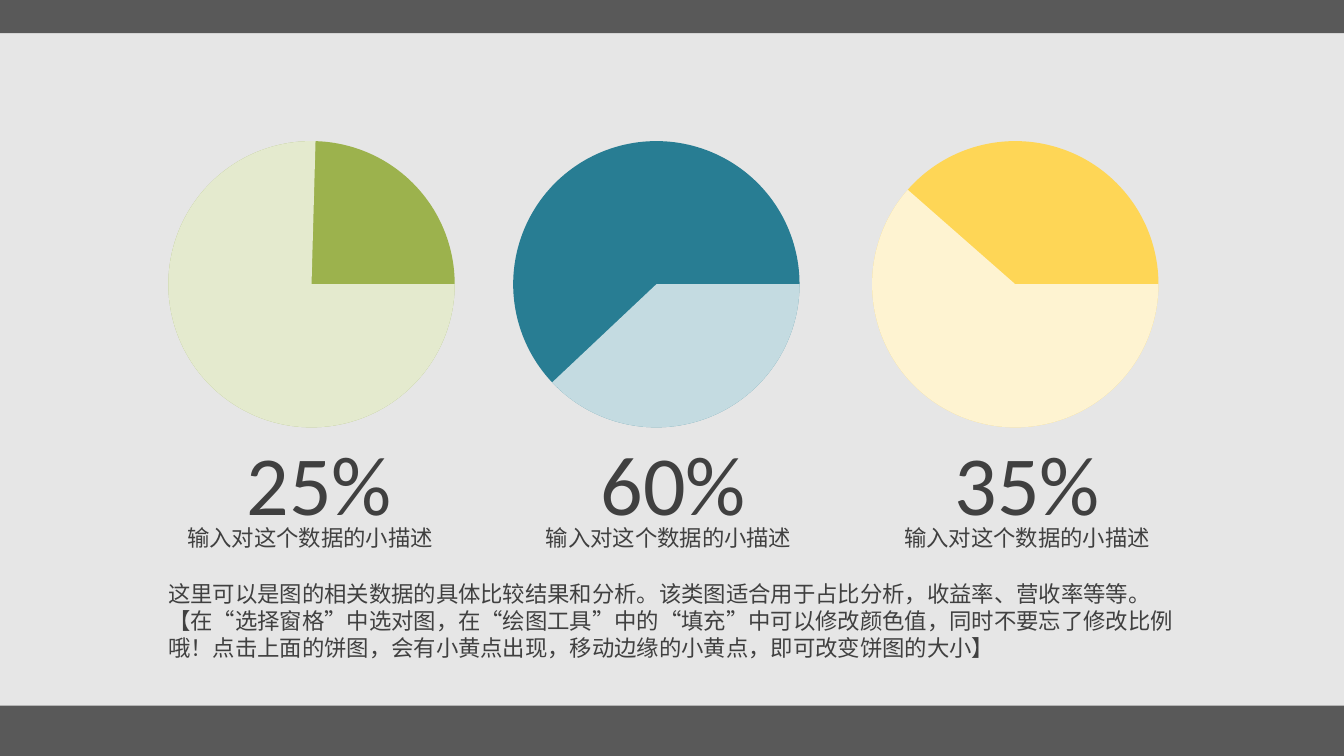
import pptx
import pptx.util
import pptx.dml.color
import pptx.enum.shapes
import pptx.enum.text
import pptx.oxml
import pptx.oxml.ns

SHAPE = pptx.enum.shapes.MSO_SHAPE
COLORS = {
    "background": "E6E6E6", "band": "595959", "text": "404040", "veil": "FFFFFF",
    "green": "9CB24D", "teal": "287D93", "yellow": "FED656",
}
CAPTION = "输入对这个数据的小描述"
ANALYSIS = (
    "这里可以是图的相关数据的具体比较结果和分析。该类图适合用于占比分析，收益率、营收率等等。"
    "【在“选择窗格”中选对图，在“绘图工具”中的“填充”中可以修改颜色值，同时不要忘了修改比例哦！"
    "点击上面的饼图，会有小黄点出现，移动边缘的小黄点，即可改变饼图的大小】"
)
PIES = [
    {"share": "25%", "color": "green", "left": 1.67, "veil_end": 271.6},
    {"share": "60%", "color": "teal", "left": 5.09, "veil_end": 136.7},
    {"share": "35%", "color": "yellow", "left": 8.65, "veil_end": 221.3},
]
BANDS = [(0, 0.33), (7, 0.5)]
WIDTH, HEIGHT = 13.33, 7.5
PIE_TOP, PIE_SIZE, VEIL_ALPHA = 1.4, 2.84, 73
SHARE_LEFT, SHARE_STEP = 2.35, 3.51
CAPTION_LEFT, CAPTION_STEP = 1.76, 3.555
SHARE_FONT = {"name": "Calibri", "size": pptx.util.Pt(60)}
CJK_FONT = {"name": "Noto Sans CJK SC", "size": pptx.util.Pt(16)}


def rgb(color):
    return pptx.dml.color.RGBColor.from_string(COLORS[color])


def inches(*lengths):
    return [pptx.util.Inches(length) for length in lengths]


def add_filled(slide, kind, box, color):
    figure = slide.shapes.add_shape(kind, *inches(*box))
    figure.shadow.inherit = False
    figure.fill.solid()
    figure.fill.fore_color.rgb = rgb(color)
    figure.line.fill.background()
    return figure


def add_words(slide, box, words, font):
    frame = slide.shapes.add_textbox(*inches(*box)).text_frame
    frame.word_wrap = True
    frame.auto_size = pptx.enum.text.MSO_AUTO_SIZE.SHAPE_TO_FIT_TEXT
    run = frame.paragraphs[0].add_run()
    run.text = words
    for attribute, value in font.items():
        setattr(run.font, attribute, value)
    run.font.color.rgb = rgb("text")
    east_asian = pptx.oxml.parse_xml(
        f'<a:ea {pptx.oxml.ns.nsdecls("a")} typeface="{font["name"]}"/>')
    run.font._element.find(pptx.oxml.ns.qn("a:latin")).addnext(east_asian)


def add_pie(slide, pie):
    box = (pie["left"], PIE_TOP, PIE_SIZE, PIE_SIZE)
    add_filled(slide, SHAPE.OVAL, box, pie["color"])
    veil = add_filled(slide, SHAPE.PIE, box, "veil")
    veil.adjustments[0] = 0
    veil.adjustments[1] = pie["veil_end"] * 0.6
    tint = veil._element.spPr.find(".//" + pptx.oxml.ns.qn("a:srgbClr"))
    tint.append(pptx.oxml.parse_xml(
        f'<a:alpha {pptx.oxml.ns.nsdecls("a")} val="{VEIL_ALPHA * 1000}"/>'))


def main():
    deck = pptx.Presentation()
    deck.slide_width, deck.slide_height = inches(WIDTH, HEIGHT)
    slide = deck.slides.add_slide(deck.slide_layouts[6])
    slide.background.fill.solid()
    slide.background.fill.fore_color.rgb = rgb("background")

    for top, height in BANDS:
        add_filled(slide, SHAPE.RECTANGLE, (0, top, WIDTH, height), "band")
    for column, pie in enumerate(PIES):
        add_pie(slide, pie)
        share_left = SHARE_LEFT + column * SHARE_STEP
        caption_left = CAPTION_LEFT + column * CAPTION_STEP
        add_words(slide, (share_left, 4.23, 1.66, 1.11), pie["share"], SHARE_FONT)
        add_words(slide, (caption_left, 5.15, 2.84, 0.37), CAPTION, CJK_FONT)
    add_words(slide, (1.57, 5.71, 10.33, 0.91), ANALYSIS, CJK_FONT)

    deck.save("out.pptx")


if __name__ == "__main__":
    main()
